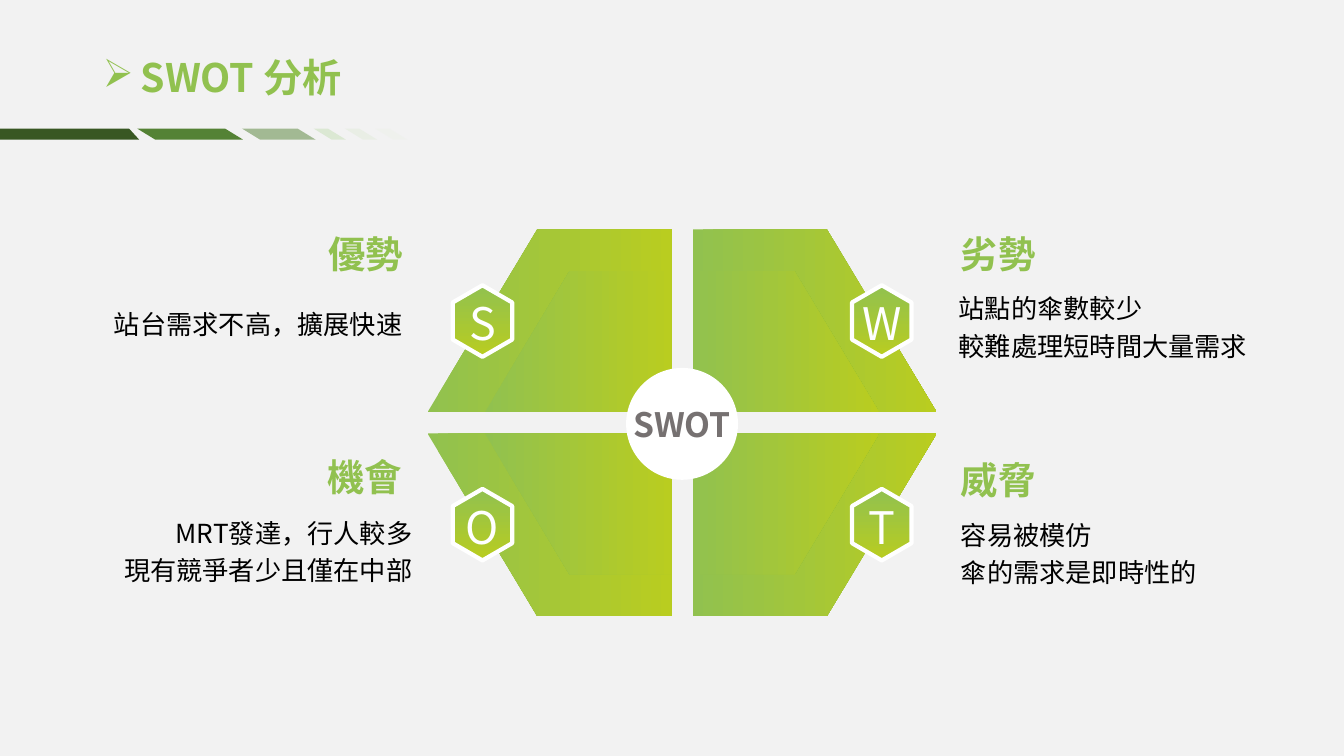
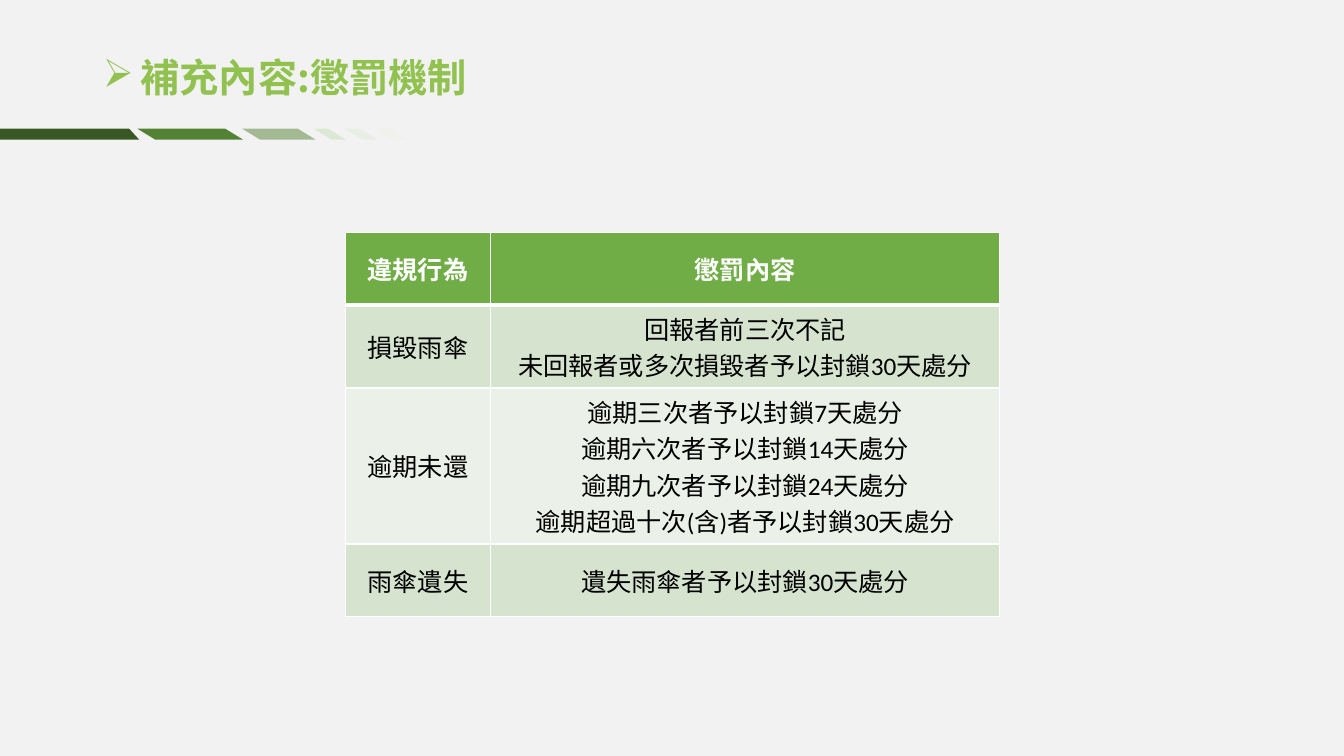
from dataclasses import dataclass

from lxml import etree
from pptx import Presentation
from pptx.dml.color import RGBColor
from pptx.enum.shapes import MSO_SHAPE
from pptx.enum.text import MSO_ANCHOR, PP_ALIGN
from pptx.oxml.ns import qn
from pptx.util import Emu, Inches, Pt

LEFT, CENTER, RIGHT = PP_ALIGN.LEFT, PP_ALIGN.CENTER, PP_ALIGN.RIGHT
MIDDLE = MSO_ANCHOR.MIDDLE
HEXAGON, OVAL, PARALLELOGRAM = MSO_SHAPE.HEXAGON, MSO_SHAPE.OVAL, MSO_SHAPE.PARALLELOGRAM
TITLE_ONLY = 5


@dataclass(frozen=True)
class Theme:
    background: str = "F2F2F2"
    gradient: tuple[str, str] = ("91C14F", "B9CD20")
    white: str = "FFFFFF"
    black: str = "000000"
    hub_text: str = "767171"
    table_header: str = "70AD47"
    table_rows: tuple[str, str] = ("D5E3CF", "EBF1E9")
    font: str = "Noto Sans CJK TC"
    table_font: str = "Calibri"
    title_size: float = 28
    heading_size: float = 26.7
    body_size: float = 18.7
    letter_size: float = 32
    hub_size: float = 24
    table_size: float = 18


THEME = Theme()


@dataclass(frozen=True)
class Stripe:
    left: float
    width: float
    color: str
    opacity: int


@dataclass(frozen=True)
class Quadrant:
    """One quarter of the diagram; across and down are -1 or 1 from its centre."""
    across: int
    down: int
    letter: str
    heading: str
    heading_edge: float
    heading_middle: float
    text: str
    text_edge: float
    text_middle: float


# All positions below are in cells of a square grid, ten cells to the inch.
BAND_TOP, BAND_HEIGHT = 12.75, 1.1
FIRST_STRIPE_TOP_EDGE, FIRST_STRIPE_BOTTOM_EDGE = 12.8, 13.8
STRIPES = (
    Stripe(13.6, 10.5, "548235", 100),
    Stripe(24, 7.3, "548235", 50),
    Stripe(31.1, 3.2, "A9D18E", 30),
    Stripe(34.2, 3.2, "C5E0B4", 20),
    Stripe(37.2, 3.2, "E2F0D9", 17),
)
CENTER_X, CENTER_Y = 67.65, 41.95
HALF_GAP = 1.05
# Reach, shoulder and height of the outer and inner panel, from the centre.
PANELS = ((25.25, 14.35, 19.2), (19.55, 11.15, 15.05))
BADGE_X, BADGE_Y, BADGE_WIDTH, BADGE_HEIGHT = 19.8, 10.1, 7.1, 5.9
LETTER_WIDTH, LETTER_HEIGHT, LETTER_DROP = 5.9, 6.4, 0.2
HUB = 11.1
CAPTION_WIDTH, HEADING_HEIGHT, TEXT_HEIGHT = 31.7, 3.4, 5.2
QUADRANTS = (
    Quadrant(-1, -1, "S", "優勢", 40, 25.2, "站台需求不高，擴展快速", 39.9, 31.85),
    Quadrant(1, -1, "W", "劣勢", 95.3, 25.2,
             "站點的傘數較少\v較難處理短時間大量需求", 95.1, 32.1),
    Quadrant(-1, 1, "O", "機會", 39.9, 47.3,
             "MRT發達，行人較多\v現有競爭者少且僅在中部", 40.9, 54.4),
    Quadrant(1, 1, "T", "威脅", 95.3, 47.6,
             "容易被模仿\v傘的需求是即時性的", 95.3, 54.6),
)
TABLE_BOX = (34.25, 23.05, 64.9, 28.8)
TABLE_COLUMNS = (14.4, 50.5)
TABLE_TEXT = (
    ("違規行為", "懲罰內容"),
    ("損毀雨傘", "回報者前三次不記\v未回報者或多次損毀者予以封鎖30天處分"),
    ("逾期未還", "逾期三次者予以封鎖7天處分\v逾期六次者予以封鎖14天處分\n"
             "逾期九次者予以封鎖24天處分\n逾期超過十次(含)者予以封鎖30天處分"),
    ("雨傘遺失", "遺失雨傘者予以封鎖30天處分"),
)


def cells(count: float) -> Emu:
    return Emu(round(count * Inches(0.1)))


def box(*counts: float) -> tuple[Emu, ...]:
    return tuple(cells(count) for count in counts)


def set_attributes(target, values: dict) -> None:
    for name, value in values.items():
        setattr(target, name, value)


def paint(fill, color: str | tuple[str, str]) -> None:
    """Fill with one colour, or with a left-to-right gradient for a pair."""
    if isinstance(color, str):
        fill.solid()
        fill.fore_color.rgb = RGBColor.from_string(color)
        return
    fill.gradient()
    fill.gradient_angle = 0
    for stop, stop_color in zip(fill.gradient_stops, color):
        stop.color.rgb = RGBColor.from_string(stop_color)


def style_shape(shape, color: str | tuple[str, str], outline: float = 0) -> None:
    shape.shadow.inherit = False
    paint(shape.fill, color)
    if outline:
        paint(shape.line.fill, THEME.white)
        shape.line.width = Pt(outline)
    else:
        shape.line.fill.background()


def write(text_frame, text: str, size: float, color, bold: bool = False,
          align=LEFT, spacing: float = 1.0, font: str = THEME.font) -> None:
    text_frame.text = text
    for paragraph in text_frame.paragraphs:
        set_attributes(paragraph, {"alignment": align, "line_spacing": spacing})
        for run in paragraph.runs:
            set_attributes(run.font, {"name": font, "size": Pt(size), "bold": bold})
            paint(run.font.fill, color)
            east_asian = etree.SubElement(run.font._element, qn("a:ea"))
            east_asian.set("typeface", THEME.font)


def frame_format(wrap: bool = True) -> dict:
    margins = dict.fromkeys(("margin_left", "margin_top", "margin_right", "margin_bottom"), 0)
    return {"word_wrap": wrap, "vertical_anchor": MIDDLE, **margins}


def add_text(slide, left: float, top: float, width: float, height: float,
             text: str, size: float, color, **style) -> None:
    text_frame = slide.shapes.add_textbox(*box(left, top, width, height)).text_frame
    set_attributes(text_frame, frame_format())
    write(text_frame, text, size, color, **style)


def add_outline(slide, points: list[tuple[float, float]], color):
    corners = [box(*point) for point in points]
    builder = slide.shapes.build_freeform(*corners[0])
    builder.add_line_segments(corners[1:], close=True)
    shape = builder.convert_to_shape()
    style_shape(shape, color)
    return shape


def add_stripe(slide, stripe: Stripe):
    shape = slide.shapes.add_shape(
        PARALLELOGRAM, *box(stripe.left, BAND_TOP, stripe.width, BAND_HEIGHT))
    shape.adjustments[0] = 1.63
    style_shape(shape, stripe.color)
    shape._element.spPr.find(qn("a:xfrm")).set("flipV", "1")
    if stripe.opacity < 100:
        color = shape._element.spPr.find(qn("a:solidFill"))[0]
        etree.SubElement(color, qn("a:alpha")).set("val", str(stripe.opacity * 1000))
    return shape


def move_band_to_master(slide, master) -> None:
    """Draw the title band with the slide's tools, then hand it to the master."""
    bottom = BAND_TOP + BAND_HEIGHT
    first = add_outline(slide, [(0, BAND_TOP), (FIRST_STRIPE_TOP_EDGE, BAND_TOP),
                                (FIRST_STRIPE_BOTTOM_EDGE, bottom), (0, bottom)], "385723")
    for shape in [first, *(add_stripe(slide, stripe) for stripe in STRIPES)]:
        master.shapes._spTree.append(shape._element)


def add_titled_slide(presentation, title: str):
    slide = presentation.slides.add_slide(presentation.slide_layouts[TITLE_ONLY])
    text_frame = slide.shapes.title.text_frame
    text_frame.vertical_anchor = MIDDLE
    write(text_frame, title, THEME.title_size, THEME.gradient, bold=True, spacing=0.9)
    properties = text_frame.paragraphs[0]._p.get_or_add_pPr()
    indent = cells(3.75)
    properties.set("marL", str(indent))
    properties.set("indent", str(-indent))
    etree.SubElement(properties, qn("a:buChar")).set("char", "➢")
    return slide


def add_quadrant(slide, quadrant: Quadrant) -> None:
    def place(x: float, y: float) -> tuple[float, float]:
        return CENTER_X + quadrant.across * x, CENTER_Y + quadrant.down * y

    for reach, shoulder, height in PANELS:
        add_outline(slide, [place(reach, HALF_GAP), place(HALF_GAP, HALF_GAP),
                            place(HALF_GAP, height), place(shoulder, height)],
                    THEME.gradient)

    x, y = place(BADGE_X, BADGE_Y)
    badge = slide.shapes.add_shape(HEXAGON, *box(
        x - BADGE_WIDTH / 2, y - BADGE_HEIGHT / 2, BADGE_WIDTH, BADGE_HEIGHT))
    badge.adjustments[0] = 0.29
    badge.rotation = 90
    style_shape(badge, THEME.gradient, outline=3)
    add_text(slide, x - LETTER_WIDTH / 2, y - LETTER_HEIGHT / 2 + LETTER_DROP,
             LETTER_WIDTH, LETTER_HEIGHT, quadrant.letter,
             THEME.letter_size, THEME.white, align=CENTER)


def add_captions(slide, quadrant: Quadrant) -> None:
    on_left = quadrant.across < 0
    align = RIGHT if on_left else LEFT
    shift = CAPTION_WIDTH if on_left else 0
    add_text(slide, quadrant.heading_edge - shift,
             quadrant.heading_middle - HEADING_HEIGHT / 2, CAPTION_WIDTH, HEADING_HEIGHT,
             quadrant.heading, THEME.heading_size, THEME.gradient, bold=True, align=align)
    add_text(slide, quadrant.text_edge - shift,
             quadrant.text_middle - TEXT_HEIGHT / 2, CAPTION_WIDTH, TEXT_HEIGHT,
             quadrant.text, THEME.body_size, THEME.black, align=align, spacing=1.2)


def add_hub(slide) -> None:
    hub = slide.shapes.add_shape(
        OVAL, *box(CENTER_X - HUB / 2, CENTER_Y + 0.1 - HUB / 2, HUB, HUB))
    style_shape(hub, THEME.white)
    set_attributes(hub.text_frame, frame_format(wrap=False))
    write(hub.text_frame, "SWOT", THEME.hub_size, THEME.hub_text, bold=True, align=CENTER)


def add_borders(cell, widths: dict[str, float]) -> None:
    properties = cell._tc.get_or_add_tcPr()
    for position, (side, width) in enumerate(widths.items()):
        line = etree.Element(qn(f"a:ln{side}"), w=str(Pt(width)))
        fill = etree.SubElement(line, qn("a:solidFill"))
        etree.SubElement(fill, qn("a:srgbClr")).set("val", THEME.white)
        properties.insert(position, line)


def add_penalty_table(slide) -> None:
    table = slide.shapes.add_table(
        len(TABLE_TEXT), len(TABLE_COLUMNS), *box(*TABLE_BOX)).table
    for column, width in zip(table.columns, TABLE_COLUMNS):
        column.width = cells(width)
    for row, texts in enumerate(TABLE_TEXT):
        header = row == 0
        color = THEME.table_header if header else THEME.table_rows[(row - 1) % 2]
        widths = {"L": 1, "R": 1, "T": 3 if row == 1 else 1, "B": 3 if header else 1}
        for column, text in enumerate(texts):
            cell = table.cell(row, column)
            cell.vertical_anchor = MIDDLE
            paint(cell.fill, color)
            add_borders(cell, widths)
            write(cell.text_frame, text, THEME.table_size,
                  THEME.white if header else THEME.black,
                  bold=header, align=CENTER, font=THEME.table_font)


def main() -> None:
    presentation = Presentation()
    set_attributes(presentation, {"slide_width": Inches(13.33), "slide_height": Inches(7.5)})
    master = presentation.slide_master
    paint(master.background.fill, THEME.background)
    title = presentation.slide_layouts[TITLE_ONLY].placeholders[0]
    set_attributes(title, dict(zip(("left", "top", "width", "height"), box(9.2, 4, 115, 7.9))))

    swot = add_titled_slide(presentation, "SWOT 分析")
    move_band_to_master(swot, master)
    for quadrant in QUADRANTS:
        add_quadrant(swot, quadrant)
    add_hub(swot)
    for quadrant in QUADRANTS:
        add_captions(swot, quadrant)

    add_penalty_table(add_titled_slide(presentation, "補充內容:懲罰機制"))
    presentation.save("out.pptx")


if __name__ == "__main__":
    main()
